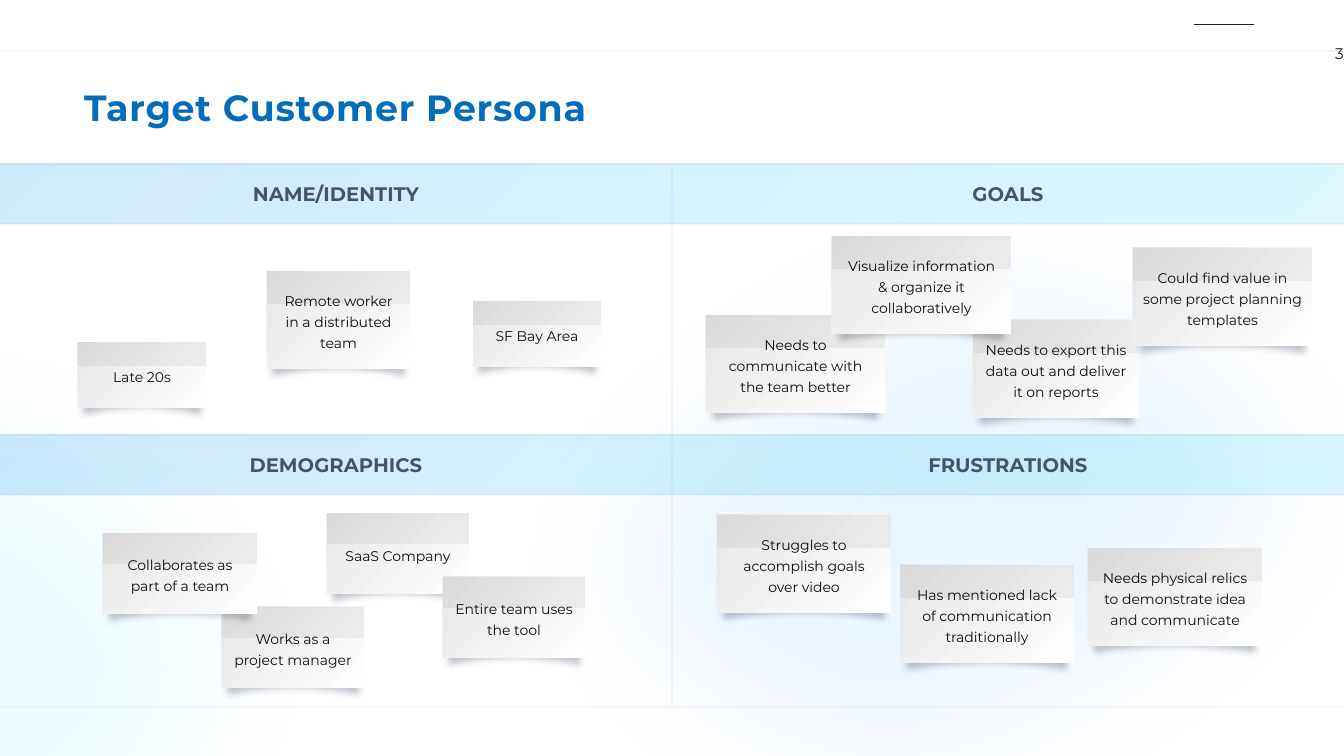
"""Builds the target customer persona slide: four quadrants of sticky notes."""
from dataclasses import dataclass

from pptx import Presentation
from pptx import util as u
from pptx.dml.color import RGBColor
from pptx.enum import shapes, text
from pptx.oxml import parse_xml
from pptx.oxml.ns import nsdecls, qn


@dataclass(frozen=True)
class Theme:
    font: str = "Montserrat"
    ink: str = "231A28"
    title: str = "016DBB"
    heading: str = "44546A"
    note_text: str = "0D0D0D"
    blue: str = "0191FA"
    cyan: str = "01D5FC"
    note_dark: str = "E7E6E6"
    note_light: str = "FFFFFF"
    curl: str = "D0CECE"
    fold: str = "000000"
    title_size: int = 26
    heading_size: int = 14
    number_size: int = 11
    note_size: int = 10


THEME = Theme()
WIDTH, HEIGHT = 1344, 756
SCALE = 914400 / 100.8

TITLE = "Target Customer Persona"
PAGE_NUMBER = "3"
HEADINGS = [["NAME/IDENTITY", "GOALS"], ["DEMOGRAPHICS", "FRUSTRATIONS"]]
BAND_TOPS = [164, 435]
BAND_HEIGHT = 60
GRID_BOTTOM = 707
GLOWS = [
    ((-450, 268, 837, 807), THEME.cyan, 7),
    ((427, 139, 1043, 765), THEME.blue, 8),
]
FOLD_HEIGHTS = {98: 33, 81: 31, 66: 24}
NOTES = [
    ("Needs to communicate with the team better", 706, 315, 179, 98),
    ("Needs to export this data out and deliver it on reports", 973, 320, 166, 98),
    ("Could find value in some project planning templates", 1133, 248, 179, 98),
    ("Works as a project manager", 222, 607, 142, 81),
    ("SaaS Company", 327, 513, 142, 81),
    ("Remote worker in a distributed team", 267, 271, 143, 98),
    ("Late 20s", 78, 342, 128, 66),
    ("Visualize information & organize it collaboratively", 832, 236, 179, 98),
    ("SF Bay Area", 473, 301, 128, 66),
    ("Entire team uses the tool", 443, 577, 142, 81),
    ("Collaborates as part of a team", 103, 533, 154, 81),
    ("Struggles to accomplish goals over video", 717, 515, 174, 98),
    ("Has mentioned lack of communication traditionally", 900, 565, 174, 98),
    ("Needs physical relics to demonstrate idea and communicate", 1088, 548, 174, 98),
]


def px(value):
    return u.Emu(round(value * SCALE))


def set_alpha(element, alpha):
    for color in element.iter(qn("a:srgbClr")):
        color.append(parse_xml(f'<a:alpha {nsdecls("a")} val="{alpha * 1000}"/>'))


def paint(shape, color, alpha=100):
    shape.fill.solid()
    shape.fill.fore_color.rgb = RGBColor.from_string(color)
    if alpha < 100:
        set_alpha(shape._element.spPr, alpha)
    shape.line.fill.background()
    shape.shadow.inherit = False


def paint_gradient(shape, *stops):
    shape.line.fill.background()
    shape.shadow.inherit = False
    marks = "".join(
        f'<a:gs pos="{place * 1000}"><a:srgbClr val="{color}">'
        f'<a:alpha val="{alpha * 1000}"/></a:srgbClr></a:gs>'
        for place, color, alpha in stops)
    shape._element.spPr.insert(2, parse_xml(
        f'<a:gradFill {nsdecls("a")} rotWithShape="1"><a:gsLst>{marks}</a:gsLst>'
        '<a:path path="circle"><a:fillToRect r="100000" b="100000"/></a:path></a:gradFill>'))


def add_effect(shape, xml):
    shape._element.spPr.find(qn("a:effectLst")).append(parse_xml(xml))


def add_preset(page, box, kind=shapes.MSO_SHAPE.RECTANGLE):
    return page.shapes.add_shape(kind, *map(px, box))


def add_line(page, start, end, alpha=100):
    line = page.shapes.add_connector(
        shapes.MSO_CONNECTOR.STRAIGHT, *map(px, (*start, *end)))
    line.line.width = u.Pt(0.5)
    line.line.color.rgb = RGBColor.from_string(THEME.ink)
    if alpha < 100:
        set_alpha(line._element.spPr, alpha)
    line._element.spPr.append(parse_xml(f'<a:effectLst {nsdecls("a")}/>'))


def write(shape, words, size, color, bold=False, align=text.PP_ALIGN.CENTER,
          wrap=True, inset=(10, 5), leading=None, tracking=None):
    frame = shape.text_frame
    frame.word_wrap = wrap
    frame.auto_size = text.MSO_AUTO_SIZE.NONE
    frame.vertical_anchor = text.MSO_ANCHOR.MIDDLE
    frame.margin_left = frame.margin_right = px(inset[0])
    frame.margin_top = frame.margin_bottom = px(inset[1])
    para = frame.paragraphs[0]
    para.alignment = align
    if leading:
        para.line_spacing = u.Pt(leading)
    span = para.add_run()
    span.text = words
    span.font.name, span.font.size, span.font.bold = THEME.font, u.Pt(size), bold
    span.font.color.rgb = RGBColor.from_string(color)
    if tracking:
        span._r.get_or_add_rPr().set("spc", str(tracking))


def add_curl(page, left, top, width):
    """Draws the strip with an arched lower edge whose shadow lifts a note."""
    steps = [1 - i / 10 for i in range(21)]
    arch = [(left + width * (1 + t) / 2, top + 8 + 7 * t * t) for t in steps]
    builder = page.shapes.build_freeform(px(left), px(top), scale=1.0)
    builder.add_line_segments(
        [(px(x), px(y)) for x, y in [(left + width, top), *arch]], close=True)
    curl = builder.convert_to_shape()
    paint(curl, THEME.curl)
    add_effect(curl, f'<a:outerShdw {nsdecls("a")} blurRad="{u.Pt(5)}" dist="{u.Pt(7)}" '
               f'dir="5400000" algn="t" rotWithShape="0"><a:srgbClr val="{THEME.heading}">'
               '<a:alpha val="35000"/></a:srgbClr></a:outerShdw>')


def add_note(page, words, left, top, width, height):
    add_curl(page, left + 0.04 * width, top + height - 18, 0.92 * width)
    card = add_preset(page, (left, top, width, height))
    paint_gradient(card, (0, THEME.note_dark, 100), (100, THEME.note_light, 100))
    write(card, words, THEME.note_size, THEME.note_text, leading=15)
    paint(add_preset(page, (left, top, width, FOLD_HEIGHTS[height])), THEME.fold, 5)


def add_quadrants(page):
    middle = WIDTH / 2
    for top, headings in zip(BAND_TOPS, HEADINGS):
        band = add_preset(page, (0, top, WIDTH, BAND_HEIGHT))
        paint_gradient(band, (0, THEME.blue, 20), (100, THEME.cyan, 15))
        for column, heading in enumerate(headings):
            label = page.shapes.add_textbox(
                *map(px, (164 + column * middle, top + 13, 344, 34)))
            write(label, heading, THEME.heading_size, THEME.heading, bold=True)
        for y in (top, top + BAND_HEIGHT):
            add_line(page, (0, y), (WIDTH, y), 10)
    add_line(page, (0, GRID_BOTTOM), (WIDTH, GRID_BOTTOM), 10)
    add_line(page, (middle, BAND_TOPS[0]), (middle, GRID_BOTTOM), 10)


def main():
    deck = Presentation()
    deck.slide_width, deck.slide_height = px(WIDTH), px(HEIGHT)
    page = deck.slides.add_slide(deck.slide_layouts[5])
    title = page.shapes.title
    title.left, title.top, title.width, title.height = map(px, (74, 80, 530, 54))
    write(title, TITLE, THEME.title_size, THEME.title, bold=True,
          align=text.PP_ALIGN.LEFT, wrap=False, tracking=50)
    number = page.shapes.add_textbox(*map(px, (1284, 39, 60, 29)))
    write(number, PAGE_NUMBER, THEME.number_size, THEME.ink,
          align=text.PP_ALIGN.RIGHT, inset=(0, 0))
    add_line(page, (1194, 24), (1254, 24))
    add_line(page, (0, 51), (WIDTH, 51), 10)
    for box, color, alpha in GLOWS:
        glow = add_preset(page, box, shapes.MSO_SHAPE.OVAL)
        glow.rotation = 348.3
        paint(glow, color, alpha)
        add_effect(glow, f'<a:softEdge {nsdecls("a")} rad="{u.Pt(100)}"/>')
    add_quadrants(page)
    for note in NOTES:
        add_note(page, *note)
    deck.save("out.pptx")


if __name__ == "__main__":
    main()
